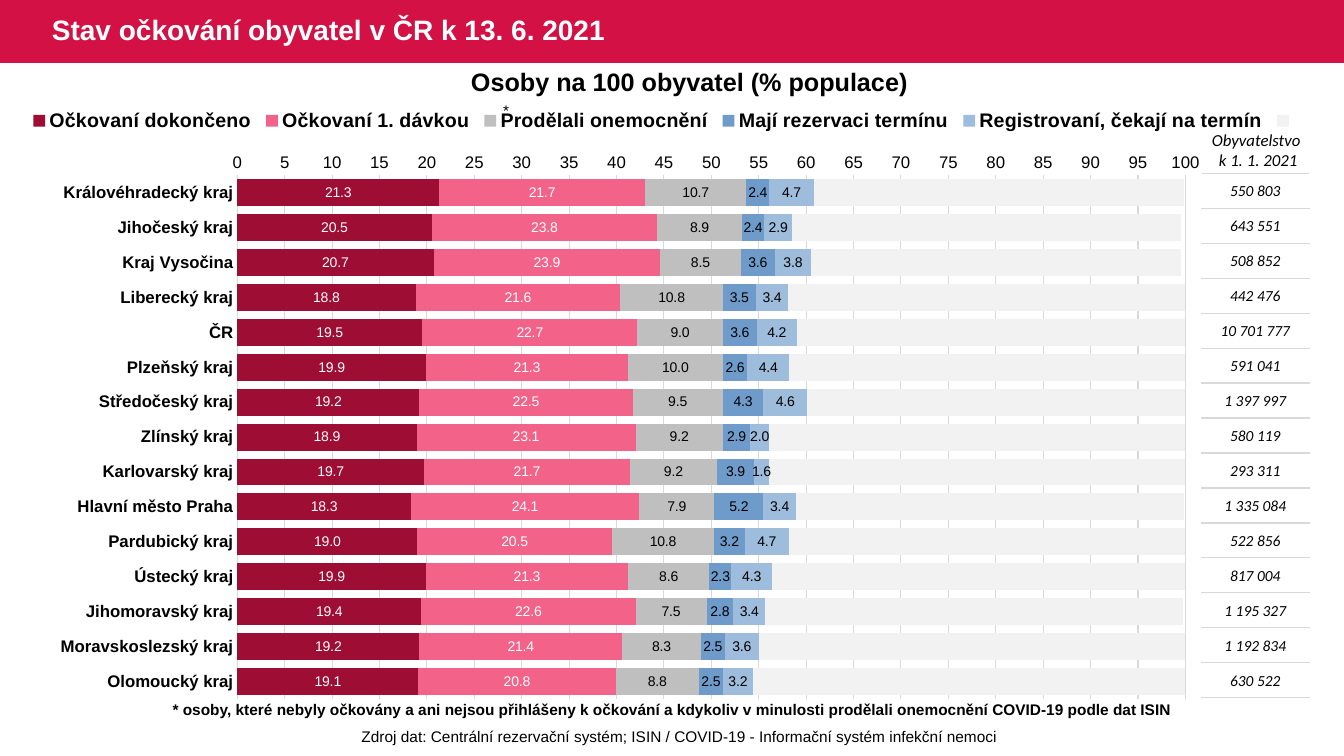
from lxml import etree
from pptx import Presentation
from pptx.chart.data import CategoryChartData
from pptx.dml.color import RGBColor
from pptx.enum.chart import XL_CHART_TYPE as CT, XL_LEGEND_POSITION as LP, XL_TICK_MARK as TM
from pptx.enum.shapes import MSO_SHAPE as SHAPE
from pptx.enum.text import MSO_ANCHOR as ANCHOR, PP_ALIGN as ALIGN
from pptx.oxml import parse_xml
from pptx.oxml.ns import nsdecls, qn
from pptx.util import Pt

RED = RGBColor(0xD3, 0x11, 0x45)
WHITE = RGBColor(0xFF, 0xFF, 0xFF)
BLACK = RGBColor(0, 0, 0)
RULE = RGBColor(0xD9, 0xD9, 0xD9)
DARK_RED = RGBColor(0x9E, 0x0D, 0x34)
PINK = RGBColor(0xF2, 0x62, 0x89)
GREY = RGBColor(0xBF, 0xBF, 0xBF)
BLUE = RGBColor(0x6E, 0x9B, 0xCA)
LIGHT_BLUE = RGBColor(0x9E, 0xBC, 0xDB)
PALE = RGBColor(0xF2, 0xF2, 0xF2)

SERIES = [
    ("Očkovaní dokončeno", DARK_RED, WHITE),
    ("Očkovaní 1. dávkou", PINK, WHITE),
    ("Prodělali onemocnění", GREY, BLACK),
    ("Mají rezervaci termínu", BLUE, BLACK),
    ("Registrovaní, čekají na termín", LIGHT_BLUE, BLACK),
    (" ", PALE, None),
]
REGIONS = [
    ("Královéhradecký kraj", "550 803", (21.3, 21.7, 10.7, 2.4, 4.7, 39)),
    ("Jihočeský kraj", "643 551", (20.5, 23.8, 8.9, 2.4, 2.9, 41)),
    ("Kraj Vysočina", "508 852", (20.7, 23.9, 8.5, 3.6, 3.8, 39)),
    ("Liberecký kraj", "442 476", (18.8, 21.6, 10.8, 3.5, 3.4, 42)),
    ("ČR", "10 701 777", (19.5, 22.7, 9, 3.6, 4.2, 41)),
    ("Plzeňský kraj", "591 041", (19.9, 21.3, 10, 2.6, 4.4, 42)),
    ("Středočeský kraj", "1 397 997", (19.2, 22.5, 9.5, 4.3, 4.6, 40)),
    ("Zlínský kraj", "580 119", (18.9, 23.1, 9.2, 2.9, 2, 44)),
    ("Karlovarský kraj", "293 311", (19.7, 21.7, 9.2, 3.9, 1.6, 44)),
    ("Hlavní město Praha", "1 335 084", (18.3, 24.1, 7.9, 5.2, 3.4, 41)),
    ("Pardubický kraj", "522 856", (19, 20.5, 10.8, 3.2, 4.7, 42)),
    ("Ústecký kraj", "817 004", (19.9, 21.3, 8.6, 2.3, 4.3, 44)),
    ("Jihomoravský kraj", "1 195 327", (19.4, 22.6, 7.5, 2.8, 3.4, 44)),
    ("Moravskoslezský kraj", "1 192 834", (19.2, 21.4, 8.3, 2.5, 3.6, 45)),
    ("Olomoucký kraj", "630 522", (19.1, 20.8, 8.8, 2.5, 3.2, 46)),
]


def style_font(font, size, color=BLACK, name="Arial", bold=False, italic=False):
    font.name, font.size, font.bold, font.italic = name, Pt(size), bold, italic
    font.color.rgb = color


def add_text(slide, box, lines, size, align=ALIGN.LEFT, wrap=False, anchor=ANCHOR.TOP,
             spacing=None, **style):
    tf = slide.shapes.add_textbox(*map(Pt, box)).text_frame
    tf.word_wrap, tf.vertical_anchor = wrap, anchor
    for i, line in enumerate(lines):
        p = tf.add_paragraph() if i else tf.paragraphs[0]
        p.text, p.alignment, p.line_spacing = line, align, spacing
        style_font(p.font, size, **style)


def add_header(slide, box):
    left, top, width, height = box
    sp = slide.shapes.add_shape(SHAPE.RECTANGLE, *map(Pt, box))
    sp.shadow.inherit = False
    sp.fill.solid()
    sp.fill.fore_color.rgb = RED
    sp.line.fill.background()
    add_text(slide, (left + 30, top, 520, height), ["Stav očkování obyvatel v ČR k 13. 6. 2021"],
             20, wrap=True, anchor=ANCHOR.MIDDLE, spacing=0.9, color=WHITE, bold=True)


def set_layout(parent, index, x, y, w, h, inner=False):
    for old in parent.findall(qn("c:layout")):
        parent.remove(old)
    layout = etree.Element(qn("c:layout"))
    manual = etree.SubElement(layout, qn("c:manualLayout"))
    settings = [("xMode", "edge"), ("yMode", "edge"), ("x", x), ("y", y), ("w", w), ("h", h)]
    if inner:
        settings.insert(0, ("layoutTarget", "inner"))
    for tag, val in settings:
        etree.SubElement(manual, qn(f"c:{tag}")).set("val", str(val))
    parent.insert(index, layout)


def style_axes(chart):
    cat, val = chart.category_axis, chart.value_axis
    for axis in (cat, val):
        axis.major_tick_mark = axis.minor_tick_mark = TM.NONE
        style_font(axis.tick_labels.font, 12, bold=axis is cat)
    cat.reverse_order = True
    val.minimum_scale, val.maximum_scale, val.major_unit = 0, 100, 5
    val.tick_labels.number_format = "0"
    val.tick_labels.number_format_is_linked = False
    val.has_major_gridlines = True
    val.format.line.fill.background()
    for line in (cat.format.line, val.major_gridlines.format.line):
        line.color.rgb, line.width = RULE, Pt(0.75)


def add_region_chart(slide, box):
    data = CategoryChartData()
    data.categories = [name for name, _, _ in REGIONS]
    for i, (name, _, _) in enumerate(SERIES):
        data.add_series(name, [shares[i] for _, _, shares in REGIONS])
    chart = slide.shapes.add_chart(CT.BAR_STACKED, *map(Pt, box), data).chart
    chart.has_title = False
    style_font(chart.font, 10)
    chart.has_legend = True
    chart.legend.position, chart.legend.include_in_layout = LP.TOP, False
    style_font(chart.legend.font, 14, bold=True)
    plot = chart.plots[0]
    plot.gap_width, plot.overlap, plot.vary_by_categories = 30, 100, False
    for series, (_, color, label_color) in zip(plot.series, SERIES):
        series.format.fill.solid()
        series.format.fill.fore_color.rgb = color
        if label_color is not None:
            labels = series.data_labels
            labels.show_value = True
            labels.number_format, labels.number_format_is_linked = "#,##0.0", False
            style_font(labels.font, 10, label_color)
    style_axes(chart)
    chart_xml = chart._chartSpace.chart
    set_layout(chart_xml.plotArea, 0, 0.164, 0.17, 0.732, 0.814, inner=True)
    set_layout(chart_xml.find(qn("c:legend")), 1, 0.0, 0.06, 0.99, 0.05)


def add_cell_rules(cell):
    for side in ("lnT", "lnB"):
        cell._tc.get_or_add_tcPr().append(parse_xml(
            f'<a:{side} {nsdecls("a")} w="{Pt(1)}"><a:solidFill>'
            f'<a:srgbClr val="{RULE}"/></a:solidFill></a:{side}>'))


def add_population_table(slide, box):
    left, top, width, height = box
    add_text(slide, (left, top - 34.5, width + 4, 36), ["Obyvatelstvo ", "k 1. 1. 2021"], 12,
             ALIGN.CENTER, name="Calibri", italic=True)
    table = slide.shapes.add_table(len(REGIONS), 1, *map(Pt, box)).table
    table.first_row = table.horz_banding = False
    for i, (_, population, _) in enumerate(REGIONS):
        table.rows[i].height = Pt(height / len(REGIONS))
        cell = table.cell(i, 0)
        add_cell_rules(cell)
        cell.fill.background()
        cell.vertical_anchor = ANCHOR.MIDDLE
        cell.margin_left = cell.margin_right = cell.margin_top = Pt(0.7)
        cell.margin_bottom = 0
        p = cell.text_frame.paragraphs[0]
        p.text, p.alignment = population, ALIGN.CENTER
        style_font(p.font, 11, name="Calibri", italic=True)


def add_notes_below(slide, box):
    left, top, width, height = box
    add_text(slide, (left, top, width, 20.6),
             ["* osoby, které nebyly očkovány a ani nejsou přihlášeny k očkování a kdykoliv "
              "v minulosti prodělali onemocnění COVID-19 podle dat ISIN"],
             11, ALIGN.CENTER, bold=True)
    add_text(slide, (left + 5, top + height - 20.6, width, 20.6),
             ["Zdroj dat: Centrální rezervační systém; ISIN / COVID-19 - "
              "Informační systém infekční nemoci"], 11, ALIGN.CENTER)


def main():
    """Build the vaccination status slide."""
    prs = Presentation()
    prs.slide_width, prs.slide_height = Pt(960), Pt(540)
    slide = prs.slides.add_slide(prs.slide_layouts[6])
    add_header(slide, (0, 0, 960, 45))
    add_region_chart(slide, (17.8, 47.2, 925.2, 459.4))
    add_text(slide, (152, 44, 681, 29), ["Osoby na 100 obyvatel (% populace)"], 18,
             ALIGN.CENTER, wrap=True, bold=True)
    add_text(slide, (352.3, 68.4, 18.7, 20.6), ["*"], 11)
    add_population_table(slide, (858.2, 123.8, 77, 375))
    add_notes_below(slide, (114, 496.8, 733, 39.6))
    prs.save("out.pptx")


if __name__ == "__main__":
    main()
